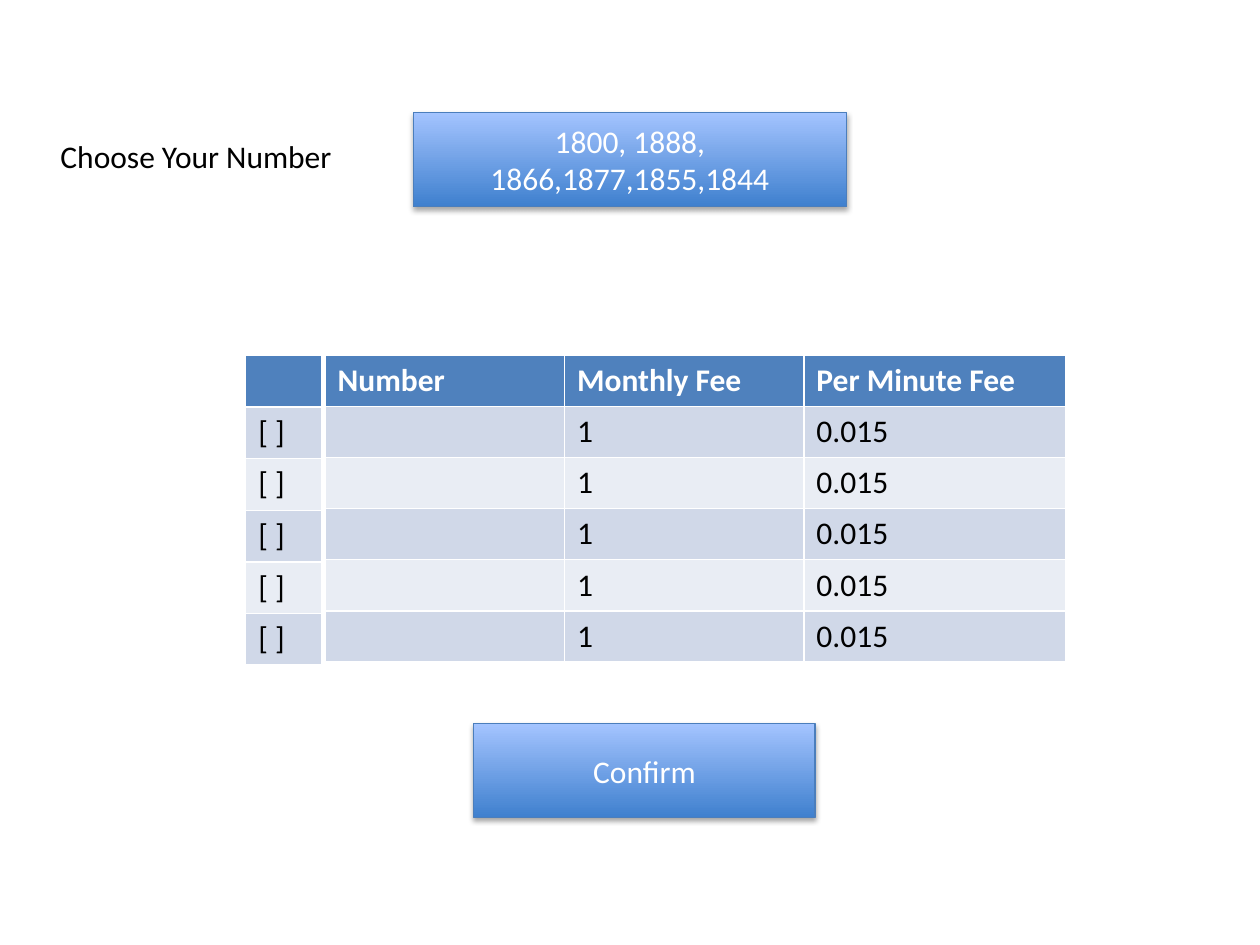
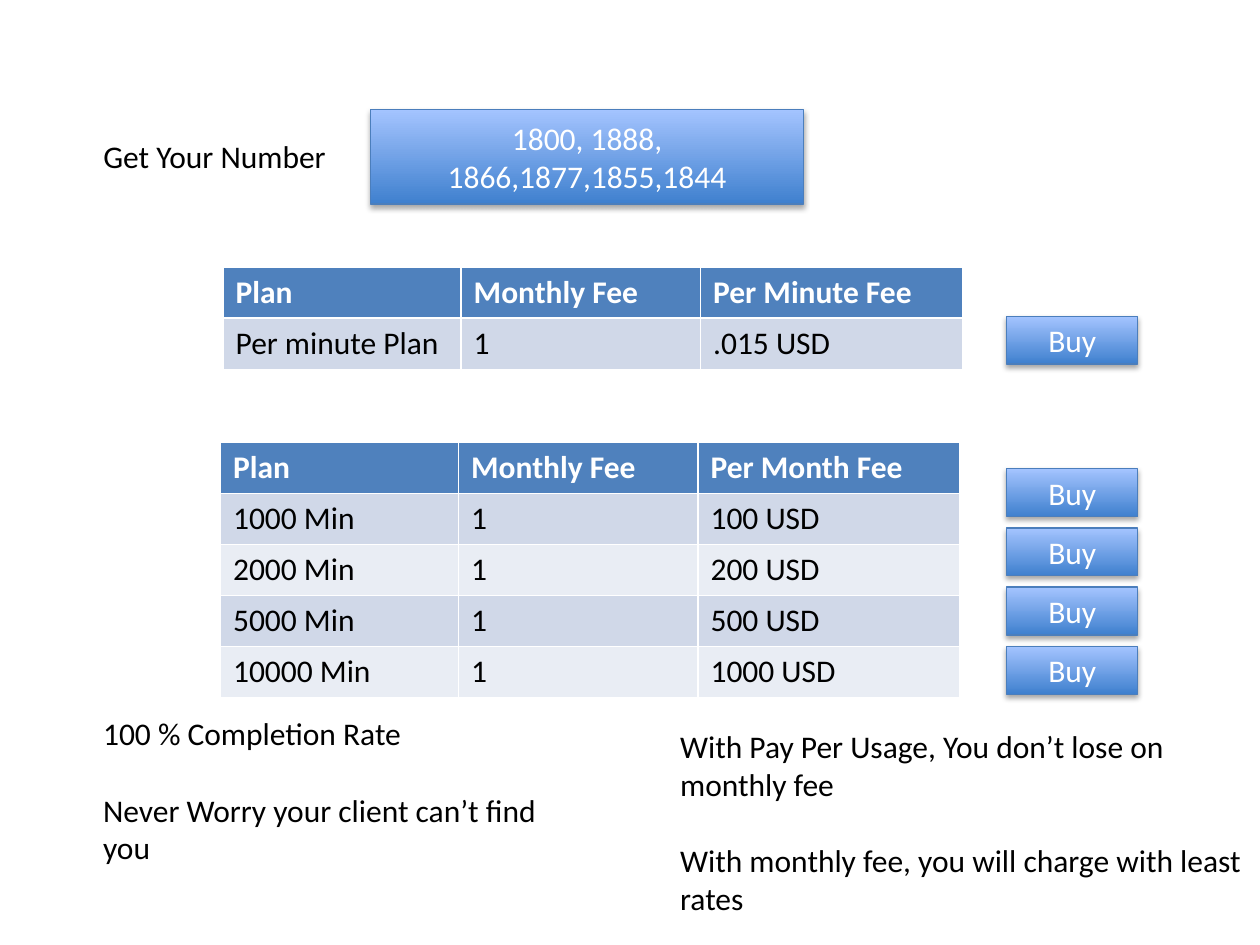
from lxml import etree
from pptx import Presentation
from pptx.dml.color import RGBColor
from pptx.enum.shapes import MSO_SHAPE
from pptx.enum.text import MSO_ANCHOR, MSO_AUTO_SIZE, PP_ALIGN
from pptx.oxml.ns import qn
from pptx.util import Inches, Pt

RECTANGLE = MSO_SHAPE.RECTANGLE
TOP, MIDDLE = MSO_ANCHOR.TOP, MSO_ANCHOR.MIDDLE
LEFT, CENTER = PP_ALIGN.LEFT, PP_ALIGN.CENTER
NO_AUTOFIT = MSO_AUTO_SIZE.NONE
TITLE_ONLY = 5

COLORS = {
    "text": "000000",
    "on_fill": "FFFFFF",
    "header": "4F81BD",
    "band_odd": "D0D8E8",
    "band_even": "E9EDF4",
    "button_bottom": "3F80CE",
    "button_top": "A4C4FF",
    "button_edge": "4B7EBC",
    "shadow": "000000",
}
FONT = "Calibri"
FONT_SIZE = 18
PARAGRAPH_GAP = 22
COLUMNS, ROWS = 100, 75          # the slide grid; every length below counts its cells
SLIDE_WIDTH, SLIDE_HEIGHT = Inches(10), Inches(7.5)

PREFIXES = "1800, 1888, 1866,1877,1855,1844"
PREFIX_SIZE = (34.4, 7.5)
FEE_WIDTHS = (19, 20.8)


def color(name):
    """Return the palette colour with this name."""
    return RGBColor.from_string(COLORS[name])


class Deck:
    """Holds the shared style and the slide being built."""

    def __init__(self):
        """Start an empty presentation."""
        self.prs = Presentation()
        self.prs.slide_width, self.prs.slide_height = SLIDE_WIDTH, SLIDE_HEIGHT
        self.slide = None

    def place(self, left, top, width, height):
        """Turn grid cells into slide lengths."""
        cell_width, cell_height = SLIDE_WIDTH / COLUMNS, SLIDE_HEIGHT / ROWS
        return (round(left * cell_width), round(top * cell_height),
                round(width * cell_width), round(height * cell_height))

    def add_text(self, frame, paragraphs, color_name="text", align=LEFT, bold=False):
        """Fill a text frame, one run in each paragraph."""
        for index, words in enumerate(paragraphs):
            paragraph = frame.add_paragraph() if index else frame.paragraphs[0]
            paragraph.alignment = align
            paragraph.space_before = Pt(PARAGRAPH_GAP if index else 0)
            run = paragraph.add_run()
            run.text = words
            run.font.name, run.font.size = FONT, Pt(FONT_SIZE)
            run.font.bold = bold
            run.font.color.rgb = color(color_name)

    def new_slide(self, heading, left, width):
        """Add a slide with its heading in the title placeholder."""
        layout = self.prs.slide_layouts[TITLE_ONLY]
        self.slide = self.prs.slides.add_slide(layout)
        title = self.slide.shapes.title
        title.left, title.top, title.width, title.height = self.place(left, 10.4, width, 4)
        frame = title.text_frame
        frame.auto_size, frame.word_wrap = NO_AUTOFIT, False
        frame.vertical_anchor = TOP
        self.add_text(frame, [heading])

    def note(self, paragraphs, left, top, width, height):
        """Add a wrapped text box."""
        box = self.slide.shapes.add_textbox(*self.place(left, top, width, height))
        box.text_frame.word_wrap = True
        self.add_text(box.text_frame, paragraphs)

    def button(self, label, left, top, width, height):
        """Add a glossy rectangle with a centred label."""
        button = self.slide.shapes.add_shape(
            RECTANGLE, *self.place(left, top, width, height))
        button.fill.gradient()
        button.fill.gradient_angle = 90
        for stop, name in zip(button.fill.gradient_stops, ("button_bottom", "button_top")):
            stop.color.rgb = color(name)
        button.line.color.rgb = color("button_edge")
        button.line.width = Pt(0.75)
        self.drop_shadow(button)
        button.text_frame.word_wrap = True
        button.text_frame.vertical_anchor = MIDDLE
        self.add_text(button.text_frame, [label], "on_fill", CENTER)

    def drop_shadow(self, shape):
        """Replace the theme shadow with a soft one below the shape."""
        shape.shadow.inherit = False
        effects = shape._element.spPr.find(qn("a:effectLst"))
        shadow = etree.SubElement(effects, qn("a:outerShdw"), blurRad=str(Pt(3.1)),
                                  dist=str(Pt(1.8)), dir="5400000", rotWithShape="0")
        tint = etree.SubElement(shadow, qn("a:srgbClr"), val=COLORS["shadow"])
        etree.SubElement(tint, qn("a:alpha"), val="35000")

    def table(self, records, left, top, widths, row_height=4.05):
        """Add a banded table; the table style draws its white rules."""
        area = self.place(left, top, sum(widths), row_height * len(records))
        table = self.slide.shapes.add_table(len(records), len(widths), *area).table
        for column, width in zip(table.columns, widths):
            column.width = self.place(0, 0, width, 0)[2]
        for row_index, record in enumerate(records):
            is_header = row_index == 0
            band = "header" if is_header else ("band_even", "band_odd")[row_index % 2]
            for column_index, words in enumerate(record):
                cell = table.cell(row_index, column_index)
                cell.fill.solid()
                cell.fill.fore_color.rgb = color(band)
                if words:
                    self.add_text(cell.text_frame, [words],
                                  "on_fill" if is_header else "text", bold=is_header)


def build_choose_slide(deck):
    """Build the slide where a number is picked."""
    deck.new_slide("Choose Your Number", 3.8, 23.8)
    deck.button(PREFIXES, 32.8, 8.9, *PREFIX_SIZE)
    number_count = 5
    deck.table([("Number", "Monthly Fee", "Per Minute Fee")]
               + [("", "1", "0.015")] * number_count,
               25.8, 28.2, (19, *FEE_WIDTHS))
    deck.table([("",)] + [("[ ]",)] * number_count, 19.5, 28.2, (6,), 4.1)
    deck.button("Confirm", 37.6, 57.4, 27.1, 7.5)


def build_plans_slide(deck):
    """Build the slide where a plan is bought."""
    deck.new_slide("Get Your Number", 7.2, 19.9)
    deck.button(PREFIXES, 29.4, 8.7, *PREFIX_SIZE)

    plan_widths = (18.9, *FEE_WIDTHS)
    deck.table([("Plan", "Monthly Fee", "Per Minute Fee"),
                ("Per minute Plan", "1", ".015 USD")], 17.7, 21.2, plan_widths)
    bundles = [("1000 Min", "1", "100 USD"), ("2000 Min", "1", "200 USD"),
               ("5000 Min", "1", "500 USD"), ("10000 Min", "1", "1000 USD")]
    deck.table([("Plan", "Monthly Fee", "Per Month Fee")] + bundles,
               17.5, 35.1, plan_widths)

    first_bundle_top, buy_pitch = 37.2, 4.7
    bundle_tops = [first_bundle_top + buy_pitch * i for i in range(len(bundles))]
    for buy_top in [25.1] + bundle_tops:
        deck.button("Buy", 79.9, buy_top, 10.4, 3.8)

    deck.note(["100 % Completion Rate", "Never Worry your client can’t find you"],
              7.2, 56.2, 36.7, 13.1)
    deck.note(["With Pay Per Usage, You don’t lose on monthly fee",
               "With monthly fee, you will charge with least rates"],
              53, 57.2, 47, 16.2)


deck = Deck()
build_choose_slide(deck)
build_plans_slide(deck)
deck.prs.save("out.pptx")
